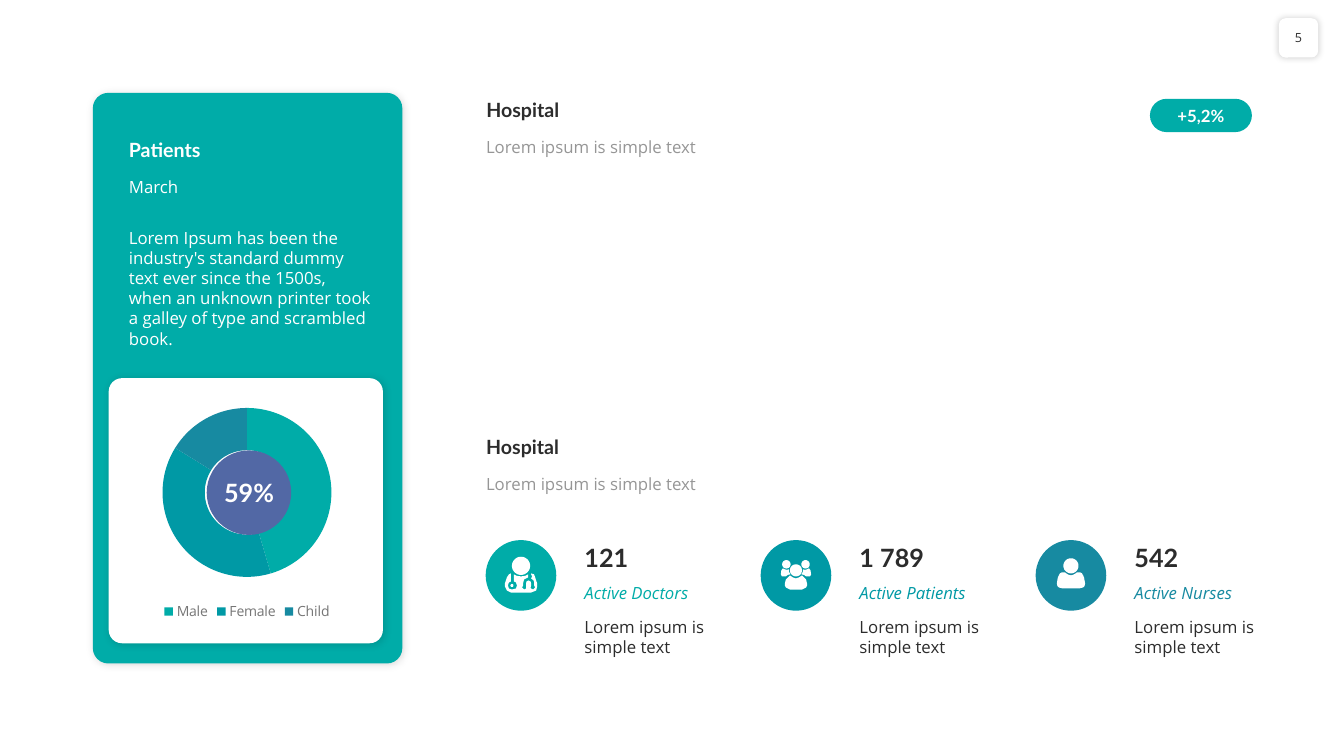
import math
from dataclasses import dataclass

import pptx
import pptx.chart.data
import pptx.dml.color
import pptx.enum.chart
import pptx.enum.shapes
import pptx.enum.text
import pptx.oxml
import pptx.oxml.ns
import pptx.util

Cm, Pt = pptx.util.Cm, pptx.util.Pt
SHAPE = pptx.enum.shapes.MSO_SHAPE
ANCHOR = pptx.enum.text.MSO_ANCHOR
ALIGN = pptx.enum.text.PP_ALIGN
Points = list[tuple[float, float]]

TEAL, CYAN, BLUE, INDIGO = "00ACA8", "0099A5", "178AA1", "5268A5"
DARK, GREY, WHITE = "2C2C2C", "969696", "FFFFFF"
HEAD, BODY = "Lato", "Open Sans"
LOREM = "Lorem ipsum is simple text"


@dataclass
class Style:
    size: float
    color: str
    font: str = BODY
    bold: bool = False
    italic: bool = False
    align: ALIGN = ALIGN.LEFT
    anchor: ANCHOR = ANCHOR.TOP


@dataclass
class Stat:
    number: str
    label: str
    color: str
    icon: list[Points]


def rgb(color: str) -> pptx.dml.color.RGBColor:
    return pptx.dml.color.RGBColor.from_string(color)


def box(x: float, y: float, w: float, h: float) -> list[int]:
    return [Cm(v) for v in (x, y, w, h)]


def write(sp, text: str, st: Style, wrap: bool = True) -> None:
    tf = sp.text_frame
    tf.text = text
    tf.word_wrap = wrap
    tf.vertical_anchor = st.anchor
    p = tf.paragraphs[0]
    p.alignment = st.align
    f = p.runs[0].font
    f.size, f.name, f.bold, f.italic = Pt(st.size), st.font, st.bold, st.italic
    f.color.rgb = rgb(st.color)


def add_text(s, x: float, y: float, w: float, h: float, text: str, st: Style) -> None:
    write(s.shapes.add_textbox(*box(x, y, w, h)), text, st)


def paint(sp, color: str) -> None:
    sp.shadow.inherit = False
    sp.fill.solid()
    sp.fill.fore_color.rgb = rgb(color)
    sp.line.fill.background()


def add_shape(s, kind: SHAPE, x: float, y: float, w: float, h: float, color: str):
    sp = s.shapes.add_shape(kind, *box(x, y, w, h))
    paint(sp, color)
    return sp


def add_shadow(sp, alpha: int, blur: float, dist: float) -> None:
    effects = sp._element.spPr.find(pptx.oxml.ns.qn("a:effectLst"))
    effects.append(pptx.oxml.parse_xml(
        f'<a:outerShdw {pptx.oxml.ns.nsdecls("a")} blurRad="{Pt(blur)}" dist="{Pt(dist)}" '
        f'dir="2700000" algn="tl" rotWithShape="0"><a:srgbClr val="000000">'
        f'<a:alpha val="{alpha * 1000}"/></a:srgbClr></a:outerShdw>'))


# Icon outlines, in hundredths of an inch from the centre of their circle
def disc(cx: float, cy: float, r: float) -> Points:
    angles = [math.tau * i / 36 for i in range(36)]
    return [(cx + r * math.cos(a), cy + r * math.sin(a)) for a in angles]


def mirror(points: Points) -> Points:
    return [(-x, y) for x, y in reversed(points)]


def add_icon(s, cx: float, cy: float, outlines: list[Points]) -> None:
    fine = [[(round(x * 10), round(y * 10)) for x, y in pts] for pts in outlines]
    fb = s.shapes.build_freeform(*fine[0][0], scale=Cm(2.54) / 1000)
    for i, pts in enumerate(fine):
        if i:
            fb.move_to(*pts[0])
        fb.add_line_segments(pts[1:], close=True)
    paint(fb.convert_to_shape(Cm(cx), Cm(cy)), WHITE)


COAT = [
    (16, 11), (15, 15), (10, 17), (-10, 17), (-14, 15), (-16, 11), (-16, 8), (-15, 5),
    (-14, 2), (-12, -1), (-10, -2), (-10, 6), (-12, 7), (-13, 10), (-12, 13), (-9, 14),
    (-5, 13), (-4, 10), (-5, 7), (-7, 6), (-7, -1), (-4, 0.5), (0, 1), (4, 0.5), (7, -1),
    (7, 2), (3, 4), (2, 8), (2, 10), (1, 12), (2, 13), (3, 14), (5, 13), (5, 12), (5, 8),
    (5.5, 6), (7.5, 5), (9.5, 6), (10, 8), (10, 10), (9.5, 12), (10, 13), (12, 14),
    (13, 13), (14, 12), (13, 10), (13, 7), (12.5, 5), (10, 3), (11, 1), (10, -1),
    (10, -2), (13, -1), (14, 2), (15, 5), (16, 8)]
DOCTOR = [COAT, disc(-9, 10, 1.5), disc(0, -9.5, 9)]

SHOULDER = [(0, 0), (2, -0.5), (4, -1.5), (6, -3), (9, -3), (11, -2), (12, 0), (13, 2),
            (13.5, 5), (14, 8), (13.5, 10.5), (12, 12), (8, 13)]
NURSE = [SHOULDER + mirror(SHOULDER), disc(0, -9.5, 7.5)]

FRONT = [(0, 3), (3, 2), (6, 0), (8, 2), (10, 4), (11, 8), (11, 10), (10, 12), (6, 14)]
BEHIND = [(15, -1), (14, 1), (10, 1), (8, -0.5), (5.5, -1), (7, -4), (7, -6), (9, -5.5),
          (11, -6), (13, -7), (14.5, -5)]
PATIENTS = [FRONT + mirror(FRONT), disc(0, -5, 6), BEHIND, mirror(BEHIND),
            disc(9.5, -11, 4.2), disc(-9.5, -11, 4.2)]

STATS = [Stat("121", "Active Doctors", TEAL, DOCTOR),
         Stat("1 789", "Active Patients", CYAN, PATIENTS),
         Stat("542", "Active Nurses", BLUE, NURSE)]


def add_doughnut(s) -> None:
    data = pptx.chart.data.CategoryChartData()
    data.categories = ["Male", "Female", "Child"]
    data.add_series("Series 1", (45, 38, 16))
    chart = s.shapes.add_chart(pptx.enum.chart.XL_CHART_TYPE.DOUGHNUT,
                               *box(3, 9.93, 6.45, 5.82), data).chart
    chart.font.size, chart.font.name = Pt(10), BODY
    chart.font.color.rgb = rgb(DARK)
    chart.has_title = False
    chart.has_legend = True
    legend = chart.legend
    legend.position = pptx.enum.chart.XL_LEGEND_POSITION.BOTTOM
    legend.include_in_layout = False
    legend.font.size, legend.font.name = Pt(10), BODY
    legend.font.color.rgb = rgb("767676")
    plot = chart.plots[0]
    plot.vary_by_categories = True
    for hole in plot._element.iter(pptx.oxml.ns.qn("c:holeSize")):
        hole.set("val", "75")
    for i, color in enumerate((TEAL, CYAN, BLUE)):
        fmt = plot.series[0].points[i].format
        fmt.fill.solid()
        fmt.fill.fore_color.rgb = rgb(color)
        fmt.line.fill.background()


def main() -> None:
    prs = pptx.Presentation()
    prs.slide_width, prs.slide_height = Cm(33.87), Cm(19.05)
    s = prs.slides.add_slide(prs.slide_layouts[5])
    heading = Style(14, DARK, HEAD, bold=True, anchor=ANCHOR.BOTTOM)
    on_card = Style(12, WHITE)

    # Page number
    page = add_shape(s, SHAPE.ROUNDED_RECTANGLE, 32.23, 0.46, 0.99, 0.99, WHITE)
    add_shadow(page, 20, 5, 0)
    page.text_frame.margin_left = page.text_frame.margin_right = 0
    write(page, "5", Style(9, DARK, align=ALIGN.CENTER, anchor=ANCHOR.MIDDLE), wrap=False)

    # Section headings
    title = s.shapes.title
    title.left, title.top, title.width, title.height = box(12, 2.34, 19.53, 0.86)
    title.text_frame.auto_size = pptx.enum.text.MSO_AUTO_SIZE.NONE
    write(title, "Hospital", heading)
    add_text(s, 12, 10.82, 19.53, 0.86, "Hospital", heading)
    for y in (3.33, 11.81):
        add_text(s, 12, y, 19.53, 0.76, LOREM, Style(12, GREY))

    # Patients card
    for rect, radius, color in (((2.34, 2.34, 7.8, 14.38), 0.05, TEAL),
                                ((2.74, 9.53, 6.91, 6.68), 0.05, WHITE)):
        card = add_shape(s, SHAPE.ROUNDED_RECTANGLE, *rect, color)
        card.adjustments[0] = radius
        add_shadow(card, 15, 6, 1)
    add_text(s, 3, 3.33, 6.65, 0.86, "Patients",
             Style(14, WHITE, HEAD, bold=True, anchor=ANCHOR.BOTTOM))
    add_text(s, 3, 4.32, 6.65, 0.76, "March", on_card)
    add_text(s, 3, 5.61, 6.65, 2.82,
             "Lorem Ipsum has been the industry's standard dummy text ever since the 1500s, "
             "when an unknown printer took a galley of type and scrambled book.", on_card)
    add_doughnut(s)
    add_shape(s, SHAPE.OVAL, 5.21, 11.35, 2.13, 2.13, INDIGO)
    add_text(s, 5.21, 11.91, 2.13, 1.02, "59%",
             Style(18, WHITE, HEAD, bold=True, align=ALIGN.CENTER, anchor=ANCHOR.MIDDLE))

    # Staff and patient counts
    for i, stat in enumerate(STATS):
        x = 12.24 + i * 6.93
        add_shape(s, SHAPE.OVAL, x, 13.61, 1.78, 1.78, stat.color)
        add_icon(s, x + 0.89, 14.5, stat.icon)
        add_text(s, x + 2.24, 13.54, 3.66, 1.02, stat.number,
                 Style(18, DARK, HEAD, bold=True, anchor=ANCHOR.BOTTOM))
        add_text(s, x + 2.24, 14.55, 3.66, 0.76, stat.label,
                 Style(12, stat.color, italic=True))
        add_text(s, x + 2.24, 15.42, 3.66, 1.27, LOREM, Style(12, DARK))

    # Growth badge
    badge = add_shape(s, SHAPE.ROUNDED_RECTANGLE, 28.98, 2.49, 2.57, 0.84, TEAL)
    badge.adjustments[0] = 0.5
    tf = badge.text_frame
    tf.margin_left = tf.margin_right = tf.margin_top = tf.margin_bottom = 0
    write(badge, "+5,2%",
          Style(12, WHITE, HEAD, bold=True, align=ALIGN.CENTER, anchor=ANCHOR.MIDDLE))

    prs.save("out.pptx")


if __name__ == "__main__":
    main()
